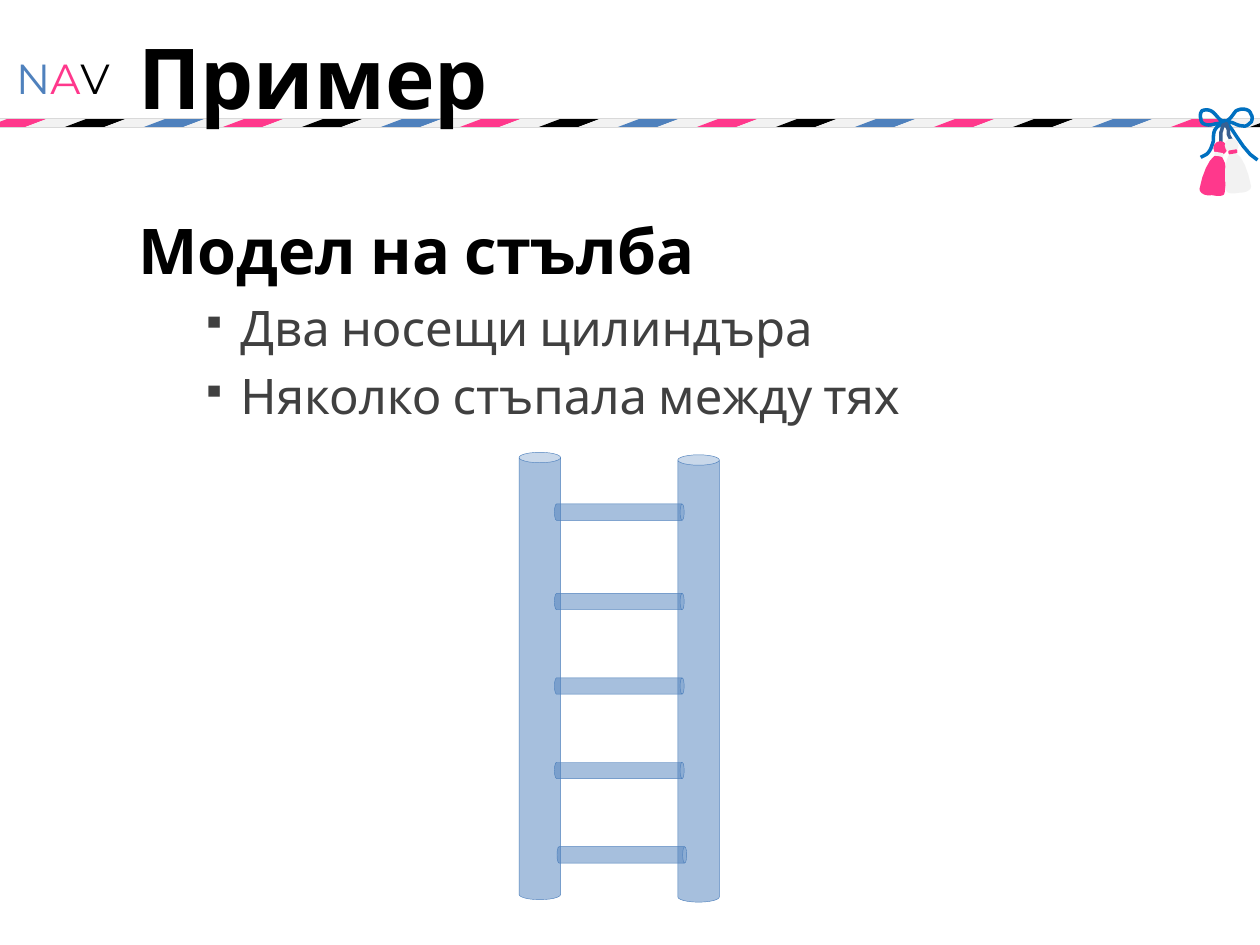
from pptx import Presentation
from pptx.dml.color import RGBColor
from pptx.enum.shapes import MSO_CONNECTOR, MSO_SHAPE
from pptx.enum.text import MSO_ANCHOR, PP_ALIGN
from pptx.oxml.ns import qn
from pptx.util import Inches, Pt
from lxml import etree

LINE = MSO_CONNECTOR.STRAIGHT
SLANT = MSO_SHAPE.PARALLELOGRAM
ROUND = MSO_SHAPE.ROUNDED_RECTANGLE
OVAL = MSO_SHAPE.OVAL
CAN = MSO_SHAPE.CAN
MIDDLE = MSO_ANCHOR.MIDDLE
CENTER = PP_ALIGN.CENTER

BLACK = RGBColor(0x00, 0x00, 0x00)
DARK = RGBColor(0x40, 0x40, 0x40)
SILVER = RGBColor(0xD9, 0xD9, 0xD9)
PALE = RGBColor(0xF2, 0xF2, 0xF2)
PINK = RGBColor(0xFF, 0x38, 0x8C)
BLUE = RGBColor(0x4F, 0x81, 0xBD)
BOW = RGBColor(0x00, 0x70, 0xC0)
KNOT = RGBColor(0x37, 0x60, 0x92)

# Bow and bells as Bezier points: a start, then three points per curve
LOOPS = [
    (.46, .41), (.36, .36), (.27, .17), (.22, .12), (.18, .07), (.2, .12),
    (.18, .1), (.15, .09), (.12, .03), (.09, .02), (.07, .01), (.04, .01),
    (.02, .02), (.01, .03), (0, .06), (.01, .08), (.01, .09), (.01, .12),
    (.05, .13), (.09, .14), (.12, .12), (.15, .12), (.18, .11), (.21, .11),
    (.23, .09), (.25, .08), (.27, .04), (.29, .02), (.31, .01), (.34, 0),
    (.37, .01), (.4, .02), (.4, .03), (.41, .05), (.42, .06), (.42, .09),
    (.41, .11), (.39, .12), (.38, .15), (.34, .14), (.3, .14), (.27, .11),
    (.24, .11), (.22, .1), (.21, .11), (.19, .12), (.17, .13), (.14, .14),
    (.13, .16), (.11, .18), (.11, .22), (.11, .26), (.1, .29), (.09, .33),
    (.07, .35), (.06, .37), (.02, .38), (.01, .39)]
TIES = [
    (.26, .27), (.25, .25), (.24, .23), (.23, .21), (.23, .19), (.23, .16),
    (.22, .15), (.22, .13), (.21, .12), (.21, .12), (.21, .12), (.21, .14),
    (.2, .14), (.2, .14), (.19, .13), (.19, .13), (.18, .14), (.18, .17),
    (.17, .19), (.17, .21), (.17, .24), (.17, .25), (.17, .27), (.17, .27),
    (.17, .28)]
LEFT = [(.15, .37), (.21, .38), (.23, .51), (.2, .67), (.2, .7), (.15, .7),
        (.1, .69), (.04, .7), (0, .67), (0, .64), (.03, .48), (.1, .36),
        (.15, .37)]
RIGHT = [(.26, .35), (.32, .34), (.38, .46), (.41, .62), (.41, .65),
         (.37, .67), (.32, .67), (.26, .68), (.22, .68), (.21, .65),
         (.19, .49), (.21, .36), (.26, .35)]


def add_part(slide, kind, left, top, wide, high, fill, turn=0):
    part = slide.shapes.add_shape(
        kind, Inches(left), Inches(top), Inches(wide), Inches(high))
    part.shadow.inherit = False
    part.fill.solid()
    part.fill.fore_color.rgb = fill
    part.line.fill.background()
    part.rotation = turn
    return part


def add_curve(slide, left, top, nodes, line=None, fill=None):
    spots = [nodes[0]]
    for i in range(0, len(nodes) - 1, 3):
        for t in (.2, .4, .6, .8, 1):
            u = 1 - t
            parts = (u ** 3, 3 * u * u * t, 3 * u * t * t, t ** 3)
            spots.append(tuple(sum(p * n[axis] for p, n in zip(parts, nodes[i:i + 4]))
                               for axis in (0, 1)))
    spots = [(Inches(left + x), Inches(top + y)) for x, y in spots]
    pen = slide.shapes.build_freeform(*spots[0], scale=1.0)
    pen.add_line_segments(spots[1:], close=fill is not None)
    curve = pen.convert_to_shape()
    curve.shadow.inherit = False
    if fill is None:
        curve.fill.background()
        curve.line.color.rgb = line
        curve.line.width = Pt(2)
    else:
        curve.fill.solid()
        curve.fill.fore_color.rgb = fill
        curve.line.fill.background()


def add_frame(slide, left, top, wide, high):
    box = slide.shapes.add_textbox(
        Inches(left), Inches(top), Inches(wide), Inches(high))
    box.text_frame.word_wrap = True
    return box.text_frame


def add_run(para, text, size, color, font="Cabin", bold=False):
    run = para.add_run()
    run.text = text
    run.font.size = Pt(size)
    run.font.name = font
    run.font.bold = bold
    run.font.color.rgb = color


def add_mark(slide, left, top, wide, high):
    frame = add_frame(slide, left, top, wide, high)
    frame.margin_left = frame.margin_right = 0
    para = frame.paragraphs[0]
    para.alignment = CENTER
    for letter, color in zip("NAV", (BLUE, PINK, BLACK)):
        add_run(para, letter, 24, color, "Montserrat")


def add_band(slide, left, top, wide, high):
    # Slanted stripes, every second one pale
    for i in range(34):
        color = (PINK, BLACK, BLUE)[i // 2 % 3] if i % 2 else PALE
        stripe = add_part(slide, SLANT, left - .43 + i * .3135, top, .5, high, color)
        stripe.adjustments[0] = 2.65
    # Thin edges
    for y in (top, top + high):
        edge = slide.shapes.add_connector(
            LINE, Inches(left), Inches(y), Inches(left + wide), Inches(y))
        edge.line.color.rgb = SILVER
        edge.line.width = Pt(.25)
        etree.SubElement(edge._element.spPr, qn("a:effectLst"))


def add_bells(slide, left, top):
    add_curve(slide, left, top, LOOPS, line=BOW)
    add_curve(slide, left, top, TIES, line=KNOT)
    bells = ((LEFT, PINK, PALE, .11, .26, .12, 9.8),
             (RIGHT, PALE, PINK, .2, .24, .23, -9.2))
    for nodes, body, trim, x, y, strap, turn in bells:
        add_curve(slide, left, top, nodes, fill=body)
        add_part(slide, OVAL, left + x, top + y, .11, .11, body)
        for drop in (.1, .09):
            add_part(slide, ROUND, left + strap, top + y + drop,
                     .07, .02, trim, turn).adjustments[0] = .4


def add_title(slide, left, top, wide, high):
    frame = add_frame(slide, left, top, wide, high)
    frame.vertical_anchor = MIDDLE
    para = frame.paragraphs[0]
    para._p.get_or_add_pPr().set("marL", str(Inches(1)))
    add_run(para, "Пример", 48, BLACK, bold=True)


def add_body(slide, left, top, wide, high):
    frame = add_frame(slide, left, top, wide, high)
    head = frame.paragraphs[0]
    head.line_spacing = 1.5
    head.space_before = Pt(7.2)
    add_run(head, "Модел на стълба", 36, BLACK, bold=True)
    for text in ("Два носещи цилиндъра", "Няколко стъпала между тях"):
        para = frame.add_paragraph()
        para.level = 1
        para.space_before = Pt(5.6)
        props = para._p.get_or_add_pPr()
        props.set("marL", str(Inches(.81)))
        props.set("indent", str(Inches(-.31)))
        tint = etree.SubElement(props, qn("a:buClr"))
        etree.SubElement(tint, qn("a:srgbClr")).set("val", str(DARK))
        etree.SubElement(props, qn("a:buSzPct")).set("val", "70000")
        etree.SubElement(props, qn("a:buChar")).set("char", "▪")
        add_run(para, text, 28, DARK)


def add_ladder(slide, left, top):
    # Rungs lie on their side, then come the two poles
    rungs = [(.73, -.04), (.73, .67), (.73, 1.34), (.73, 2.01), (.75, 2.68)]
    cans = [(x, y, .13, 1.03, 90) for x, y in rungs]
    cans += [(1.26, .02, .33, 3.55, 0), (0, 0, .33, 3.55, 0)]
    for x, y, wide, high, turn in cans:
        can = add_part(slide, CAN, left + x, top + y, wide, high, BLUE, turn)
        can.line.color.rgb = BLUE
        can.line.width = Pt(.25)
        tint = can._element.spPr.find(qn("a:solidFill"))[0]
        etree.SubElement(tint, qn("a:alpha")).set("val", "50000")


def main():
    deck = Presentation()
    deck.slide_width, deck.slide_height = Inches(10), Inches(7.5)
    slide = deck.slides.add_slide(deck.slide_layouts[6])
    add_mark(slide, 0, .37, 1, .5)
    add_band(slide, 0, .94, 10, .07)
    add_bells(slide, 9.52, .86)
    add_title(slide, 0, .25, 10, .71)
    add_body(slide, 1, 1.33, 8.92, 6.08)
    add_ladder(slide, 4.12, 3.59)
    deck.save("out.pptx")


if __name__ == "__main__":
    main()
